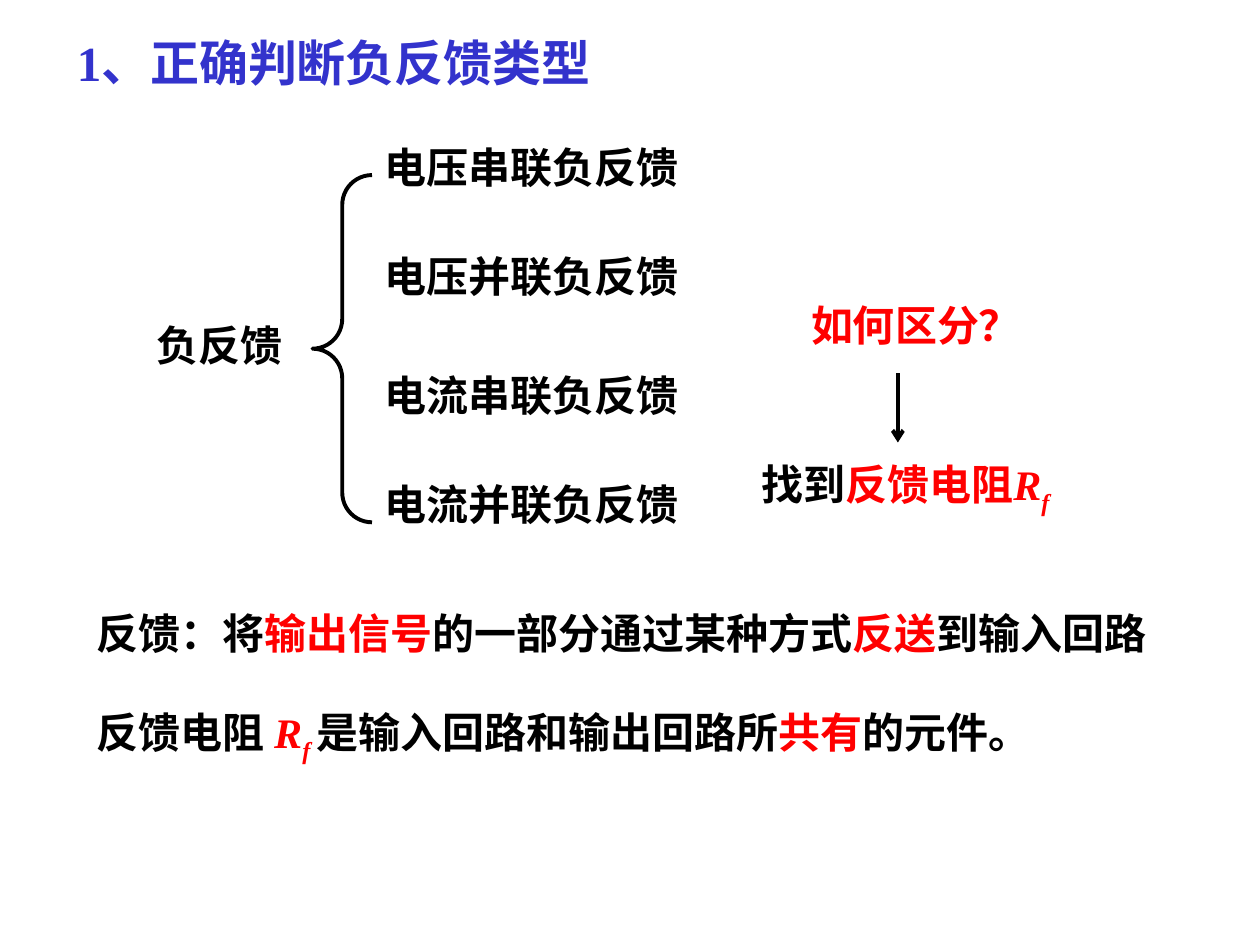
from lxml import etree
from pptx import Presentation
from pptx.dml.color import RGBColor
from pptx.enum.shapes import MSO_CONNECTOR, MSO_SHAPE
from pptx.oxml.ns import qn
from pptx.util import Cm, Pt

COLORS = {"black": "000000", "red": "FF0000", "blue": "3333CC"}
FONT = "Times New Roman"
LINE_WIDTH = Pt(2.25)

presentation = Presentation()
presentation.slide_width = Cm(25.4)
presentation.slide_height = Cm(19.05)
slide = presentation.slides.add_slide(presentation.slide_layouts[6])


def add_text(left, top, width, height, runs, size=24):
    """Add a bold one-line text box; each run is (text, color, style)."""
    shape = slide.shapes.add_textbox(Cm(left), Cm(top), Cm(width), Cm(height))
    shape.text_frame.word_wrap = True
    paragraph = shape.text_frame.paragraphs[0]
    for text, color, style in runs:
        run = paragraph.add_run()
        run.text = text
        font = run.font
        font.name = FONT
        font.size = Pt(size)
        font.bold = True
        font.italic = style in ("italic", "subscript")
        font.color.rgb = RGBColor.from_string(COLORS[color])
        if style == "subscript":
            run._r.get_or_add_rPr().set("baseline", "-25000")


# Title
add_text(1.3, 0.53, 11.4, 1.45, [("1、正确判断负反馈类型", "blue", "")], size=28)

# Tree of feedback types
add_text(2.9, 6.32, 4.4, 1.27, [("负反馈", "black", "")])

brace = slide.shapes.add_shape(MSO_SHAPE.LEFT_BRACE, Cm(6.3), Cm(3.53), Cm(1.2), Cm(7))
brace.adjustments[0] = 0.5
brace.adjustments[1] = 0.5
brace.shadow.inherit = False
brace.fill.background()
brace.line.color.rgb = RGBColor.from_string(COLORS["black"])
brace.line.width = LINE_WIDTH

for quantity, group_top in (("电压", 2.72), ("电流", 7.32)):
    for row, connection in enumerate(("串联", "并联")):
        add_text(7.5, group_top + row * 2.21, 7.4, 1.27,
                 [(quantity + connection + "负反馈", "black", "")])

# Question, arrow and answer
add_text(16.1, 5.92, 5.4, 1.27, [("如何区分？", "red", "")])

arrow = slide.shapes.add_connector(MSO_CONNECTOR.STRAIGHT, Cm(18.1), Cm(7.52), Cm(18.1), Cm(8.92))
arrow.line.color.rgb = RGBColor.from_string(COLORS["black"])
arrow.line.width = LINE_WIDTH
etree.SubElement(arrow.line._get_or_add_ln(), qn("a:tailEnd"), type="arrow")
etree.SubElement(arrow._element.spPr, qn("a:effectLst"))

add_text(15.1, 9.12, 7.6, 1.42, [
    ("找到", "black", ""),
    ("反馈电阻", "red", ""),
    ("R", "red", "italic"),
    ("f", "red", "subscript"),
])

# Definitions
add_text(1.7, 12.12, 22.8, 1.27, [
    ("反馈：将", "black", ""),
    ("输出信号", "red", ""),
    ("的一部分通过某种方式", "black", ""),
    ("反送", "red", ""),
    ("到输入回路", "black", ""),
])
add_text(1.7, 14.12, 22.8, 1.42, [
    ("反馈电阻 ", "black", ""),
    ("R", "red", "italic"),
    ("f ", "red", "subscript"),
    ("是输入回路和输出回路所", "black", ""),
    ("共有", "red", ""),
    ("的元件。", "black", ""),
])

presentation.save("out.pptx")
